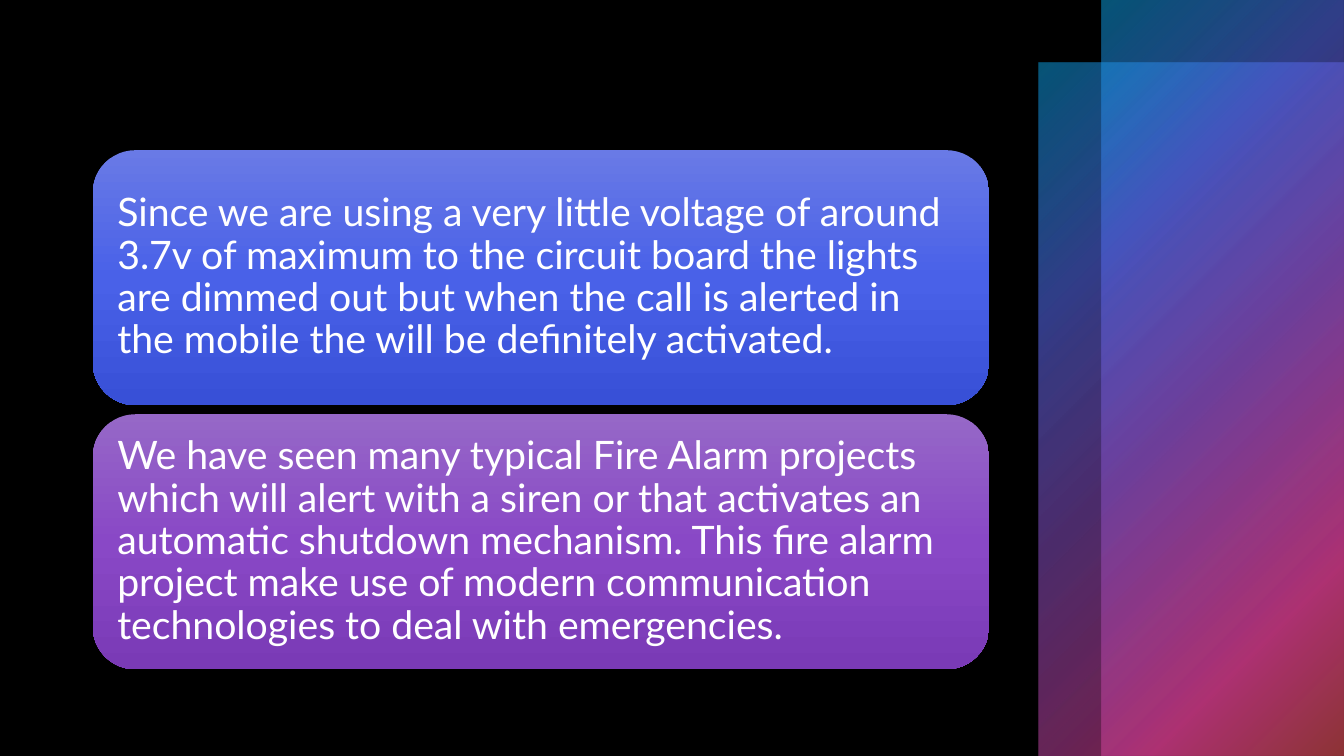
from lxml import etree
from pptx import Presentation
from pptx.dml.color import RGBColor
from pptx.enum import shapes, text
from pptx.oxml.ns import qn
from pptx.util import Inches, Pt

NOTES = [
    "Since we are using a very little voltage of around 3.7v of maximum to the "
    "circuit board the lights are dimmed out but when the call is alerted in the "
    "mobile the will be definitely activated.",
    "We have seen many typical Fire Alarm projects which will alert with a siren "
    "or\u00a0that activates an automatic shutdown mechanism. This fire alarm project "
    "make\u00a0use of modern communication technologies to deal with emergencies.",
]
THEME = {
    "font": "Lato", "size": 28, "ink": "FFFFFF", "back": "000000",
    # stops: position %, colour, opacity %
    "cards": [
        [(0, "697AE6", 100), (50, "4961E8", 100), (100, "3850D7", 100)],
        [(0, "9668C7", 100), (50, "8948C6", 100), (100, "7A3AB6", 100)],
    ],
    "bar": [(0, "0BA5E8", 50), (25, "5066E1", 60), (50, "894EC0", 55),
            (81, "E54196", 50), (99, "BE4449", 50)],
}
WIDTH, HEIGHT = 13.33, 7.5
BARS = [(10.3, 0.62), (10.93, 0)]  # left, top; each runs to the slide's corner
CARD = {"left": 0.92, "top": 1.49, "width": 8.89, "height": 2.53, "gap": 0.09}


def blend(shape, stops, corner=False):
    """Fill with a gradient going down, or spreading from the top left corner."""
    shape.fill.gradient()
    grad = shape._element.spPr.find(qn("a:gradFill"))
    for child in list(grad):
        grad.remove(child)
    ramp = etree.SubElement(grad, qn("a:gsLst"))
    for pos, tint, alpha in stops:
        stop = etree.SubElement(ramp, qn("a:gs"), pos=str(pos * 1000))
        color = etree.SubElement(stop, qn("a:srgbClr"), val=tint)
        if alpha < 100:
            etree.SubElement(color, qn("a:alpha"), val=str(alpha * 1000))
    if corner:
        way = etree.SubElement(grad, qn("a:path"), attrib={"path": "circle"})
        etree.SubElement(way, qn("a:fillToRect"), r="100000", b="100000")
    else:
        etree.SubElement(grad, qn("a:lin"), ang="5400000", scaled="0")


def add_box(slide, kind, left, top, width, height):
    box = slide.shapes.add_shape(kind, *map(Inches, (left, top, width, height)))
    box.shadow.inherit = False
    box.line.fill.background()
    return box


def write(shape, words, size=THEME["size"], color=THEME["ink"], inset=0.12):
    frame = shape.text_frame
    frame.word_wrap = True
    frame.vertical_anchor = text.MSO_ANCHOR.MIDDLE
    frame.margin_left = frame.margin_right = Inches(inset)
    frame.margin_top = frame.margin_bottom = Inches(inset)
    para = frame.paragraphs[0]
    para.alignment = text.PP_ALIGN.LEFT
    para.line_spacing = 0.9
    run = para.add_run()
    run.text = words
    run.font.name = THEME["font"]
    run.font.size = Pt(size)
    run.font.color.rgb = RGBColor.from_string(color)


def main():
    deck = Presentation()
    deck.slide_width, deck.slide_height = Inches(WIDTH), Inches(HEIGHT)
    slide = deck.slides.add_slide(deck.slide_layouts[6])
    back = slide.background.fill
    back.solid()
    back.fore_color.rgb = RGBColor.from_string(THEME["back"])

    for left, top in BARS:
        bar = add_box(slide, shapes.MSO_SHAPE.RECTANGLE,
                      left, top, WIDTH - left, HEIGHT - top)
        blend(bar, THEME["bar"], corner=True)

    for row, (words, stops) in enumerate(zip(NOTES, THEME["cards"])):
        top = CARD["top"] + row * (CARD["height"] + CARD["gap"])
        card = add_box(slide, shapes.MSO_SHAPE.ROUNDED_RECTANGLE,
                       CARD["left"], top, CARD["width"], CARD["height"])
        blend(card, stops)
        write(card, words)

    deck.save("out.pptx")


if __name__ == "__main__":
    main()
